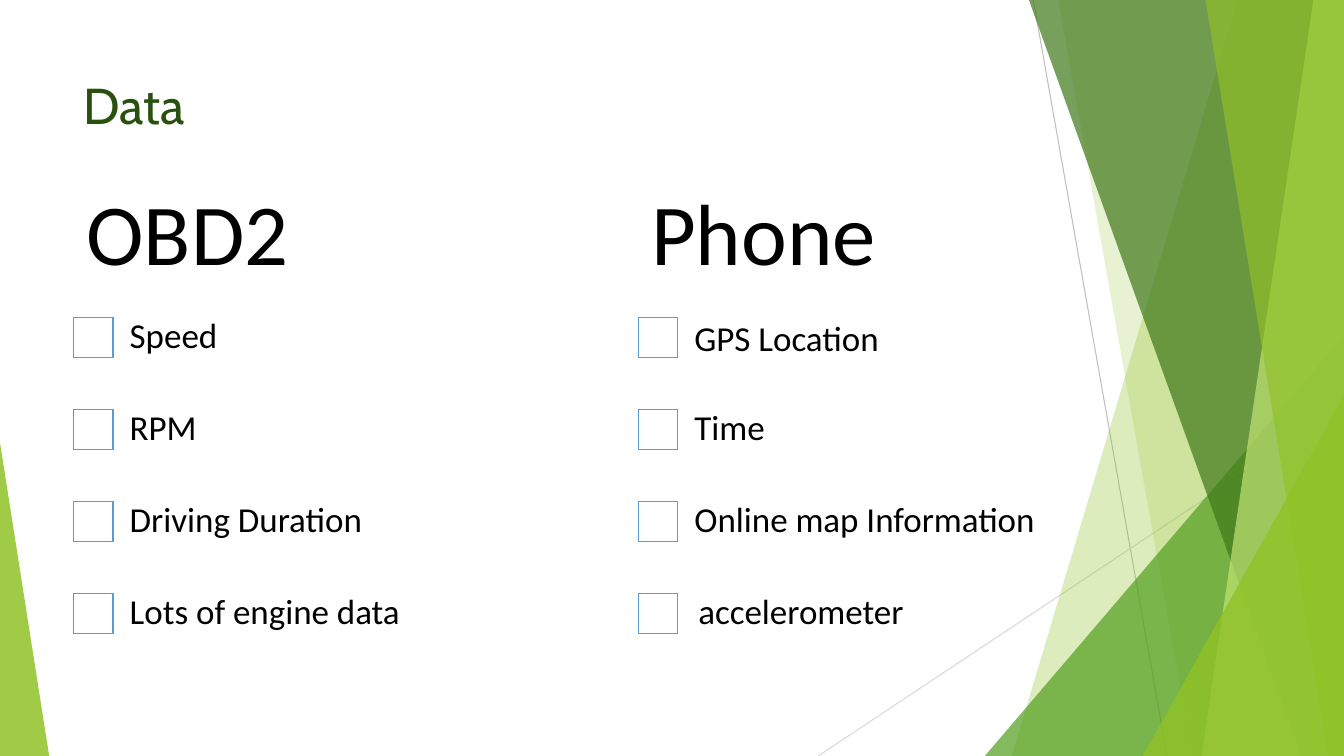
from dataclasses import dataclass

from lxml import etree
from pptx import Presentation
from pptx import util as u
from pptx.dml.color import RGBColor
from pptx.enum import shapes, text
from pptx.oxml import ns


@dataclass(frozen=True)
class Theme:
    title_font: str = "Cabin"
    body_font: str = "Calibri"
    title_size: int = 36
    heading_size: int = 62
    item_size: int = 25
    title: str = "2A5010"
    ink: str = "000000"
    box: str = "FFFFFF"
    box_line: str = "599BD5"
    ray_dark: str = "BFBFBF"
    ray_light: str = "D9D9D9"
    lime: str = "90C226"
    green: str = "54A021"
    forest: str = "3F7819"
    pale: str = "C0E474"


WIDTH, HEIGHT = 33.87, 19.05


class DataSlide:
    def __init__(self, slide, theme):
        self.shapes = slide.shapes
        self.theme = theme

    def paint(self, shape, color, opacity=100, line=None):
        shape.shadow.inherit = False
        shape.fill.solid()
        shape.fill.fore_color.rgb = RGBColor.from_string(color)
        if opacity < 100:
            tint = shape.fill._xPr.find(".//" + ns.qn("a:srgbClr"))
            etree.SubElement(tint, ns.qn("a:alpha"), val=str(opacity * 1000))
        if line:
            shape.line.color.rgb = RGBColor.from_string(line)
            shape.line.width = u.Pt(0.75)
        else:
            shape.line.fill.background()

    def ray(self, x1, y1, x2, y2, color):
        ray = self.shapes.add_connector(
            shapes.MSO_CONNECTOR.STRAIGHT, u.Cm(x1), u.Cm(y1), u.Cm(x2), u.Cm(y2))
        ray.line.color.rgb = RGBColor.from_string(color)
        ray.line.width = u.Pt(0.75)
        etree.SubElement(ray._element.spPr, ns.qn("a:effectLst"))

    def facet(self, top_x, bottom_x, color, opacity):
        outline = self.shapes.build_freeform(u.Cm(top_x), 0)
        corners = [(WIDTH, 0), (WIDTH, HEIGHT), (bottom_x, HEIGHT)]
        outline.add_line_segments([(u.Cm(x), u.Cm(y)) for x, y in corners])
        self.paint(outline.convert_to_shape(), color, opacity)

    def corner(self, left, top, width, apex, color, opacity):
        corner = self.shapes.add_shape(
            shapes.MSO_SHAPE.ISOSCELES_TRIANGLE,
            u.Cm(left), u.Cm(top), u.Cm(width), u.Cm(HEIGHT - top))
        corner.adjustments[0] = apex
        self.paint(corner, color, opacity)

    def checkbox(self, left, top, opacity):
        box = self.shapes.add_shape(
            shapes.MSO_SHAPE.RECTANGLE, u.Cm(left), u.Cm(top), u.Cm(1), u.Cm(1))
        self.paint(box, self.theme.box, opacity, self.theme.box_line)

    def words(self, content, left, top, width, height, inset, font, size, color):
        frame = self.shapes.add_textbox(
            u.Cm(left), u.Cm(top), u.Cm(width), u.Cm(height)).text_frame
        frame.word_wrap = True
        frame.vertical_anchor = text.MSO_ANCHOR.MIDDLE
        frame.margin_left = frame.margin_right = u.Cm(inset[0])
        frame.margin_top = frame.margin_bottom = u.Cm(inset[1])
        line = frame.paragraphs[0]
        line.text = content
        line.line_spacing = 0.9
        line.font.name = font
        line.font.size = u.Pt(size)
        line.font.color.rgb = RGBColor.from_string(color)

    def title(self, content):
        t = self.theme
        self.words(content, 1.85, 0.89, 23.88, 3.66, (0.25, 0.13),
                   t.title_font, t.title_size, t.title)

    def heading(self, content, left):
        t = self.theme
        self.words(content, left, 4.55, 13.54, 2.87, (0.33, 0.23),
                   t.body_font, t.heading_size, t.ink)

    def item(self, content, left, top):
        t = self.theme
        self.words(content, left, top, 12.6, 2.31, (0.48, 0.48),
                   t.body_font, t.item_size, t.ink)

    def checklist(self, heading, left, items):
        self.heading(heading, left)
        for row, (label, shift_x, shift_y) in enumerate(items):
            top = 8 + row * 2.32
            self.checkbox(left, top, 100 if row else 90)
            self.item(label, left + 0.94 + shift_x, top - 0.66 + shift_y)


def main():
    deck = Presentation()
    deck.slide_width, deck.slide_height = u.Cm(WIDTH), u.Cm(HEIGHT)
    theme = Theme()
    data = DataSlide(deck.slides.add_slide(deck.slide_layouts[6]), theme)

    data.ray(26.04, 0, 29.41, HEIGHT, theme.ray_dark)
    data.ray(WIDTH, 10.24, 20.62, HEIGHT, theme.ray_light)
    data.facet(31.19, 25.5, theme.lime, 30)
    data.facet(26.67, 30.05, theme.lime, 20)
    data.corner(24.82, 8.46, 9.05, 1, theme.green, 72)
    data.facet(25.93, 32.79, theme.forest, 70)
    data.facet(33.1, 30.28, theme.pale, 70)
    data.facet(30.38, 33.48, theme.lime, 65)
    data.corner(28.8, 9.98, 5.07, 1, theme.lime, 80)
    data.corner(0, 11.15, 1.24, 0, theme.lime, 85)

    data.title("Data")
    data.checklist("OBD2", 1.85, [
        ("Speed", 0, 0),
        ("RPM", 0, 0),
        ("Driving Duration", 0, 0),
        ("Lots of engine data", 0, 0),
    ])
    data.checklist("Phone", 16.08, [
        ("GPS Location", 0, 0.08),
        ("Time", 0, 0),
        ("Online map Information", 0, 0),
        ("accelerometer", 0.1, 0),
    ])
    deck.save("out.pptx")


if __name__ == "__main__":
    main()
